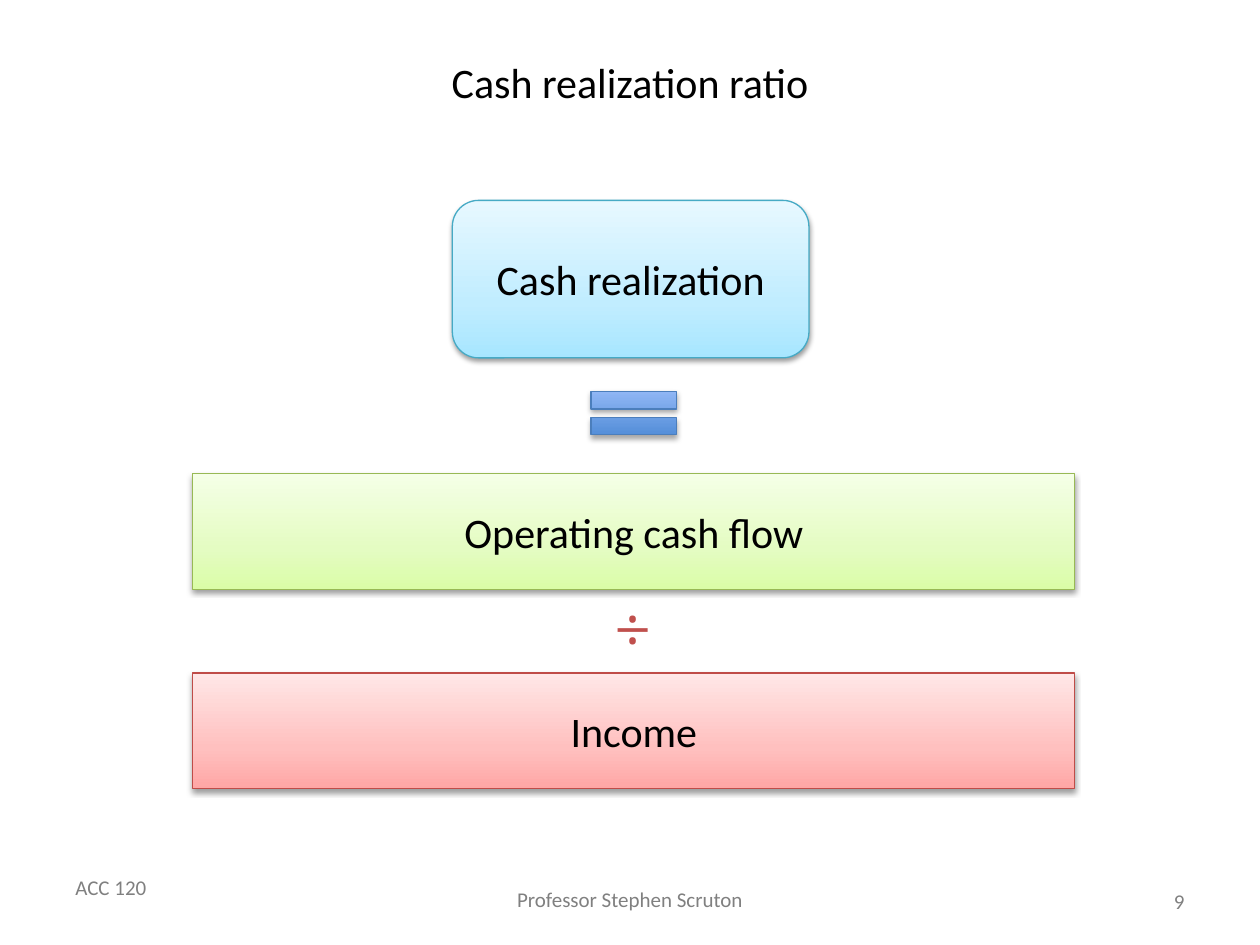
from dataclasses import dataclass

from lxml.etree import SubElement
from pptx import Presentation
from pptx.dml.color import RGBColor
from pptx.enum.shapes import MSO_SHAPE
from pptx.enum.text import MSO_ANCHOR, MSO_AUTO_SIZE, PP_ALIGN
from pptx.oxml.ns import qn
from pptx.util import Pt

COLORS = {
    "black": "000000",
    "gray": "808080",
    "red": "C0504D",
    "aqua line": "46AAC5",
    "green line": "98B955",
    "red line": "BF4C48",
    "blue line": "4B7EBC",
}
GRADIENTS = {
    "aqua": ((0, "A7E6FF"), (35, "C1EDFF"), (100, "E7F8FF")),
    "green": ((0, "DAFDA7"), (35, "E4FCC2"), (100, "F5FFE7")),
    "red": ((0, "FFA6A5"), (35, "FFC0BF"), (100, "FFE7E7")),
    "blue": ((0, "3F80CE"), (100, "A4C4FF")),
}
EMU_PER_POINT = 12700
BAR_LEFT, BAR_WIDTH, BAR_HEIGHT = 110.2, 504, 66.2


@dataclass(frozen=True)
class Box:
    left: float
    top: float
    width: float
    height: float

    def lengths(self) -> tuple:
        return tuple(Pt(value) for value in (self.left, self.top, self.width, self.height))


@dataclass(frozen=True)
class Block:
    kind: MSO_SHAPE
    box: Box
    hue: str
    text: str = ""
    shadow_opacity: int = 38
    shadow_distance: float = 1.6


@dataclass(frozen=True)
class Label:
    text: str
    box: Box
    size: float = 12
    font: str = "Calibri"
    color: str = "gray"
    align: PP_ALIGN = PP_ALIGN.CENTER
    anchor: MSO_ANCHOR = MSO_ANCHOR.TOP
    wrap: bool = True


BLOCKS = (
    Block(MSO_SHAPE.ROUNDED_RECTANGLE, Box(258.5, 114.5, 203.8, 90), "aqua", "Cash realization"),
    Block(MSO_SHAPE.RECTANGLE, Box(BAR_LEFT, 270.5, BAR_WIDTH, BAR_HEIGHT), "green",
          "Operating cash flow"),
    Block(MSO_SHAPE.RECTANGLE, Box(BAR_LEFT, 384.5, BAR_WIDTH, BAR_HEIGHT), "red", "Income"),
    Block(MSO_SHAPE.MATH_EQUAL, Box(329, 215.3, 66.2, 41.8), "blue",
          shadow_opacity=35, shadow_distance=1.8),
)
LABELS = (
    Label("ACC 120", Box(36, 496.1, 55.4, 21.6), align=PP_ALIGN.LEFT, wrap=False),
    Label("Professor Stephen Scruton", Box(287.3, 503.3, 145.4, 21.6), wrap=False),
    Label("9", Box(516.2, 500.4, 167.8, 28.8), align=PP_ALIGN.RIGHT, anchor=MSO_ANCHOR.MIDDLE),
    Label("÷", Box(319, 328.3, 85, 55.4), size=40, font="Cambria", color="red"),
)


def set_attributes(target, values: dict) -> None:
    for name, value in values.items():
        setattr(target, name, value)


def write_text(shape, text: str, size: float = 24, font: str = "Calibri", color: str = "black",
               align: PP_ALIGN = PP_ALIGN.CENTER, anchor: MSO_ANCHOR = MSO_ANCHOR.MIDDLE,
               wrap: bool = True) -> None:
    frame = shape.text_frame
    set_attributes(frame, {"auto_size": MSO_AUTO_SIZE.NONE, "word_wrap": wrap,
                           "vertical_anchor": anchor})
    paragraph = frame.paragraphs[0]
    paragraph.alignment = align
    run = paragraph.add_run()
    run.text = text
    set_attributes(run.font, {"name": font, "size": Pt(size)})
    run.font.color.rgb = RGBColor.from_string(COLORS[color])


def fill_gradient(shape, stops: tuple) -> None:
    """Fill from bottom to top with any number of stops."""
    shape.fill.gradient()
    shape.fill.gradient_angle = 90
    stop_list = next(shape.element.spPr.iter(qn("a:gsLst")))
    for old_stop in list(stop_list):
        stop_list.remove(old_stop)
    for percent, color in stops:
        stop = SubElement(stop_list, qn("a:gs"), pos=str(percent * 1000))
        SubElement(stop, qn("a:srgbClr"), val=color)


def add_shadow(shape, opacity: int, distance: float) -> None:
    shape.shadow.inherit = False
    effects = shape.element.spPr.find(qn("a:effectLst"))
    shadow = SubElement(effects, qn("a:outerShdw"), blurRad=str(round(3.1 * EMU_PER_POINT)),
                        dist=str(round(distance * EMU_PER_POINT)), dir="5400000",
                        rotWithShape="0")
    color = SubElement(shadow, qn("a:srgbClr"), val=COLORS["black"])
    SubElement(color, qn("a:alpha"), val=str(opacity * 1000))


def add_block(slide, block: Block) -> None:
    shape = slide.shapes.add_shape(block.kind, *block.box.lengths())
    fill_gradient(shape, GRADIENTS[block.hue])
    shape.line.color.rgb = RGBColor.from_string(COLORS[f"{block.hue} line"])
    shape.line.width = Pt(0.75)
    add_shadow(shape, block.shadow_opacity, block.shadow_distance)
    if block.text:
        write_text(shape, block.text)


def add_label(slide, label: Label) -> None:
    shape = slide.shapes.add_textbox(*label.box.lengths())
    write_text(shape, label.text, label.size, label.font, label.color,
               label.align, label.anchor, label.wrap)


def add_title(slide, text: str, box: Box) -> None:
    title = slide.shapes.title
    set_attributes(title, dict(zip(("left", "top", "width", "height"), box.lengths())))
    write_text(title, text)


def main() -> None:
    presentation = Presentation()
    set_attributes(presentation, {"slide_width": Pt(720), "slide_height": Pt(540)})
    slide = presentation.slides.add_slide(presentation.slide_layouts[5])
    add_title(slide, "Cash realization ratio", Box(54, 21.6, 612, 50.4))
    for block in BLOCKS:
        add_block(slide, block)
    for label in LABELS:
        add_label(slide, label)
    presentation.save("out.pptx")


if __name__ == "__main__":
    main()
